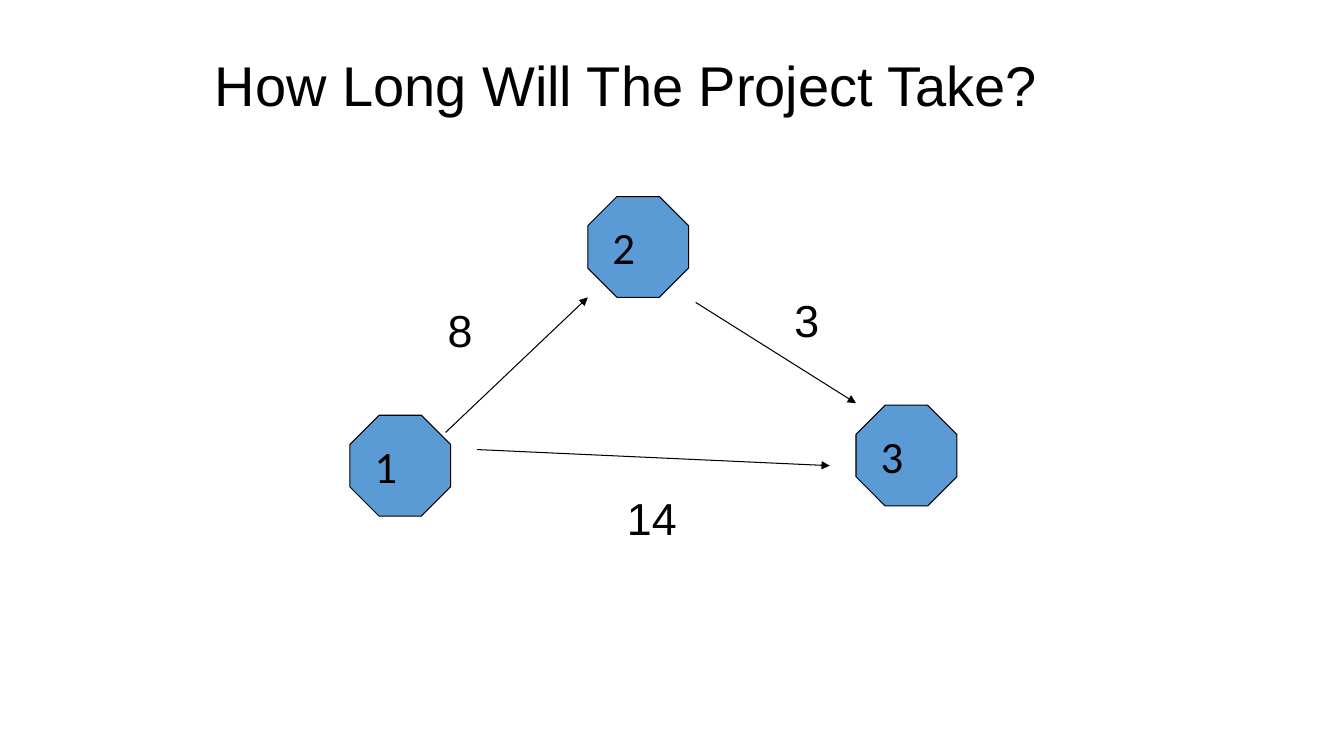
import pptx
import pptx.util
import pptx.dml.color
import pptx.enum.shapes
import pptx.enum.text
import pptx.oxml.ns
import lxml.etree

Inches = pptx.util.Inches
Pt = pptx.util.Pt
ANCHOR = pptx.enum.text.MSO_ANCHOR
FIT = pptx.enum.text.MSO_AUTO_SIZE
BLACK = pptx.dml.color.RGBColor(0x00, 0x00, 0x00)
BLUE = pptx.dml.color.RGBColor(0x5B, 0x9B, 0xD5)


def write(shape, text, size=32, font="Arial", wrap=True,
          anchor=ANCHOR.TOP, fit=FIT.SHAPE_TO_FIT_TEXT):
    frame = shape.text_frame
    frame.word_wrap = wrap
    frame.auto_size = fit
    frame.vertical_anchor = anchor
    para = frame.paragraphs[0]
    para.alignment = pptx.enum.text.PP_ALIGN.LEFT
    run = para.add_run()
    run.text = text
    run.font.size = Pt(size)
    run.font.name = font
    run.font.color.rgb = BLACK


deck = pptx.Presentation()
deck.slide_width, deck.slide_height = Inches(13.33), Inches(7.5)
slide = deck.slides.add_slide(deck.slide_layouts[5])
shapes = slide.shapes

# Title
title = shapes.title
title.left, title.top = Inches(2.03), Inches(0.45)
title.width, title.height = Inches(10.74), Inches(0.77)
write(title, "How Long Will The Project Take?", size=40)

# Project events
for name, left, top in [("2", 5.83, 1.95), ("3", 8.49, 4.02), ("1", 3.47, 4.12)]:
    node = shapes.add_shape(pptx.enum.shapes.MSO_SHAPE.OCTAGON,
                            Inches(left), Inches(top), Inches(1), Inches(1))
    node.adjustments[0] = 0.29
    node.shadow.inherit = False
    node.fill.solid()
    node.fill.fore_color.rgb = BLUE
    node.line.color.rgb = BLACK
    node.line.width = Pt(0.75)
    write(node, name, font="Calibri", wrap=False, anchor=ANCHOR.MIDDLE, fit=FIT.NONE)

# Activity arrows
for ends in [(4.42, 4.29, 5.83, 2.95), (6.9, 3, 8.49, 4), (4.73, 4.46, 8.23, 4.62)]:
    arrow = shapes.add_connector(pptx.enum.shapes.MSO_CONNECTOR.STRAIGHT,
                                 *[Inches(end) for end in ends])
    arrow.line.color.rgb = BLACK
    arrow.line.width = Pt(0.75)
    tip = lxml.etree.SubElement(arrow.line._get_or_add_ln(),
                                pptx.oxml.ns.qn("a:tailEnd"))
    tip.set("type", "triangle")
    lxml.etree.SubElement(arrow._element.spPr, pptx.oxml.ns.qn("a:effectLst"))

# Activity times
for time, left, top, width, wrap in [("8", 4.34, 2.95, 0.85, True),
                                     ("3", 7.78, 2.85, 0.45, False),
                                     ("14", 6.12, 4.82, 1.01, True)]:
    label = shapes.add_textbox(Inches(left), Inches(top), Inches(width), Inches(0.64))
    write(label, time, wrap=wrap)

deck.save("out.pptx")
